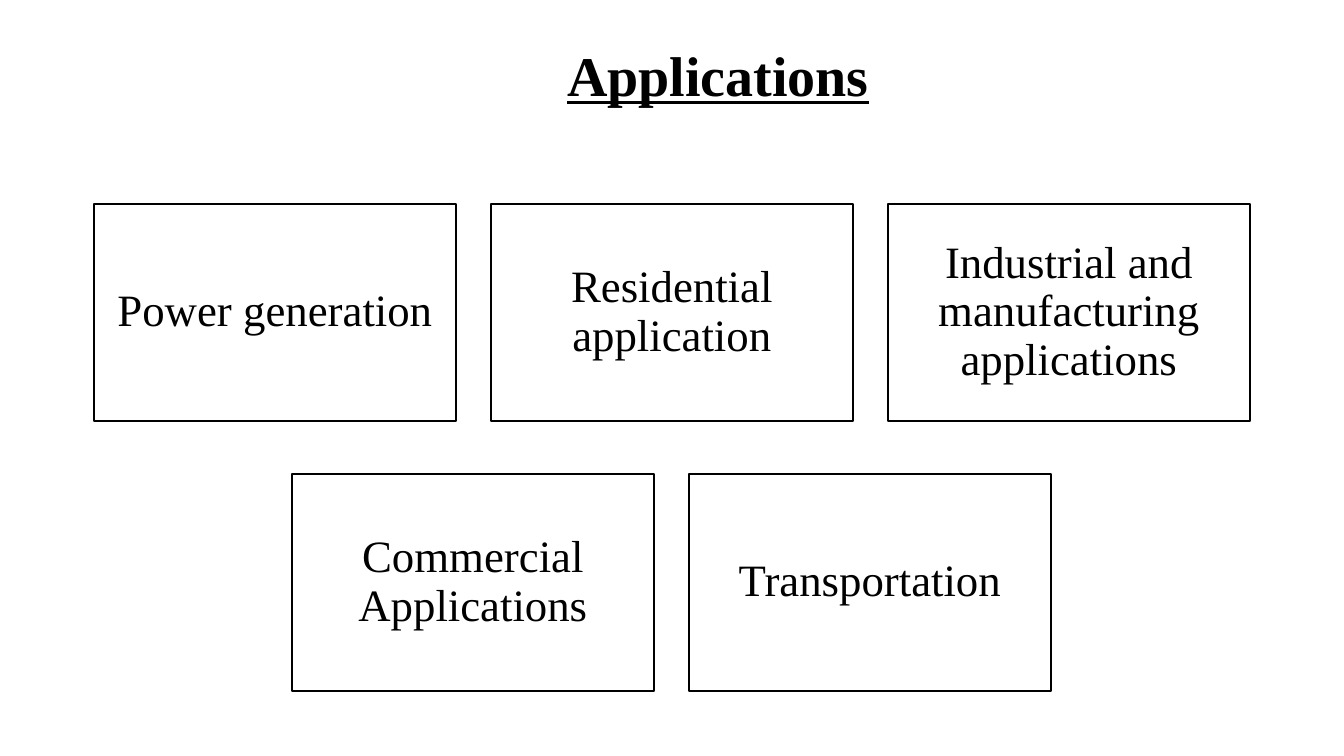
"""Build the slide of application areas as two centred rows of boxes."""
import pptx
import pptx.dml.color
import pptx.enum.shapes
import pptx.enum.text
import pptx.util

BLACK = pptx.dml.color.RGBColor(0, 0, 0)
WHITE = pptx.dml.color.RGBColor(255, 255, 255)
FONT = "Times New Roman"
SLIDE_WIDTH, SLIDE_HEIGHT = 1344, 756
BOX_WIDTH, BOX_HEIGHT = 362, 217
BOX_GAP = 35
BOX_INSET = 13
ROWS = [
    (204, ["Power generation", "Residential application",
           "Industrial and manufacturing applications"]),
    (474, ["Commercial Applications", "Transportation"]),
]


def px(length):
    return pptx.util.Emu(round(length * 914400 / 100.8))


def add_text(frame, text, size, bold=False, underline=False):
    frame.word_wrap = True
    para = frame.paragraphs[0]
    para.alignment = pptx.enum.text.PP_ALIGN.CENTER
    span = para.add_run()
    span.text = text
    span.font.name = FONT
    span.font.size = pptx.util.Pt(size)
    span.font.color.rgb = BLACK
    span.font.bold = bold
    span.font.underline = underline
    return para


def set_title(slide, text):
    title = slide.shapes.title
    title.left, title.top = px(210), px(35)
    title.width, title.height = px(1016), px(78)
    frame = title.text_frame
    frame.auto_size = pptx.enum.text.MSO_AUTO_SIZE.NONE
    frame.vertical_anchor = pptx.enum.text.MSO_ANCHOR.TOP
    add_text(frame, text, 40, bold=True, underline=True)


def add_box(slide, left, top, text):
    box = slide.shapes.add_shape(
        pptx.enum.shapes.MSO_SHAPE.RECTANGLE,
        px(left), px(top), px(BOX_WIDTH), px(BOX_HEIGHT))
    box.shadow.inherit = False
    box.fill.solid()
    box.fill.fore_color.rgb = WHITE
    box.line.color.rgb = BLACK
    box.line.width = pptx.util.Pt(1)
    frame = box.text_frame
    frame.margin_left = frame.margin_right = px(BOX_INSET)
    frame.margin_top = frame.margin_bottom = px(BOX_INSET)
    frame.vertical_anchor = pptx.enum.text.MSO_ANCHOR.MIDDLE
    add_text(frame, text, 32).line_spacing = 0.9


def add_row(slide, top, labels):
    pitch = BOX_WIDTH + BOX_GAP
    start = (SLIDE_WIDTH - pitch * len(labels) + BOX_GAP) // 2
    for column, label in enumerate(labels):
        add_box(slide, start + column * pitch, top, label)


def main():
    deck = pptx.Presentation()
    deck.slide_width, deck.slide_height = px(SLIDE_WIDTH), px(SLIDE_HEIGHT)
    slide = deck.slides.add_slide(deck.slide_layouts[5])
    set_title(slide, "Applications")
    for top, labels in ROWS:
        add_row(slide, top, labels)
    deck.save("out.pptx")


if __name__ == "__main__":
    main()
